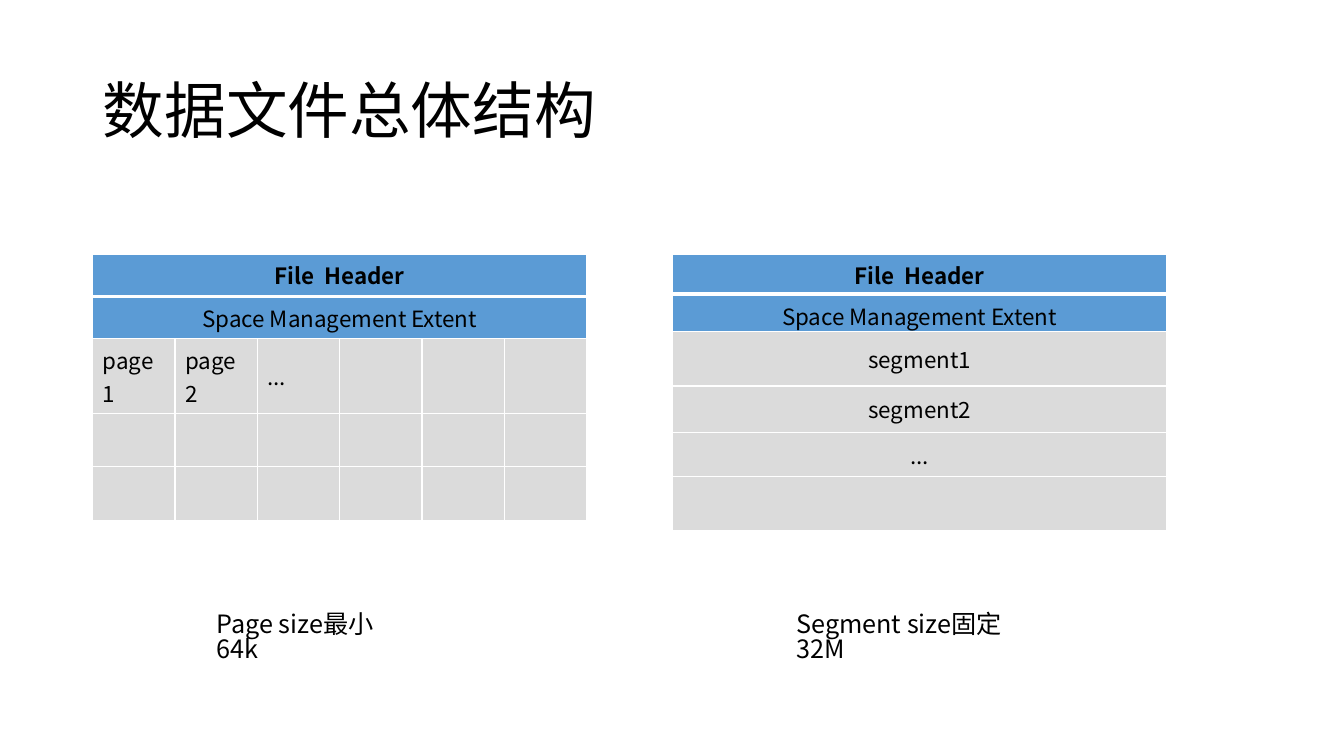
from dataclasses import dataclass

from lxml import etree
from pptx import Presentation
from pptx.dml.color import RGBColor
from pptx.enum.text import MSO_ANCHOR, PP_ALIGN
from pptx.oxml.ns import qn
from pptx.util import Inches, Pt

MIDDLE = MSO_ANCHOR.MIDDLE
CENTER, LEFT = PP_ALIGN.CENTER, PP_ALIGN.LEFT
TITLE_ONLY = 5


@dataclass(frozen=True)
class Theme:
    font: str = "Noto Sans CJK SC"
    background: str = "FFFFFF"
    text: str = "000000"
    header: str = "5B9BD5"
    body: str = "DBDBDB"
    title_size: int = 44
    caption_size: int = 18
    cell_size: int = 16
    grid_width: float = 1
    header_rule: float = 3


@dataclass(frozen=True)
class FileLayout:
    left: float
    columns: int
    body_labels: tuple[tuple[str, ...], ...]
    body_heights: tuple[float, ...]
    body_align: PP_ALIGN
    caption: str
    caption_left: float
    caption_width: float


THEME = Theme()
HEADER_LABELS = ("File  Header", "Space Management Extent")
HEADER_HEIGHTS = (0.4, 0.37)
TABLE_TOP, TABLE_WIDTH = 2.52, 4.9
CAPTION_TOP, CAPTION_HEIGHT = 6.04, 0.4

LAYOUTS = (
    FileLayout(0.92, 6, (("page1", "page2", "..."), (), ()), (0.63, 0.53, 0.53),
               LEFT, "Page size最小64k", 2.05, 2.11),
    FileLayout(6.67, 1, (("segment1",), ("segment2",), ("...",), ()),
               (0.54, 0.46, 0.44, 0.53), CENTER, "Segment size固定32M", 7.8, 2.63),
)


def write(frame, text: str, size: float, align: PP_ALIGN, bold: bool = False,
          spacing: float = 1.0) -> None:
    frame.text = text
    paragraph = frame.paragraphs[0]
    paragraph.alignment = align
    paragraph.line_spacing = spacing
    for run in paragraph.runs:
        run.font.name = THEME.font
        run.font.size = Pt(size)
        run.font.bold = bold
        run.font.color.rgb = RGBColor.from_string(THEME.text)
        east_asian = etree.SubElement(run.font._element, qn("a:ea"))
        east_asian.set("typeface", THEME.font)


def set_borders(cell, top: float, bottom: float) -> None:
    properties = cell._tc.get_or_add_tcPr()
    widths = {"lnL": THEME.grid_width, "lnR": THEME.grid_width, "lnT": top, "lnB": bottom}
    for position, (side, width) in enumerate(widths.items()):
        line = etree.Element(qn(f"a:{side}"), w=str(Pt(width)))
        fill = etree.SubElement(line, qn("a:solidFill"))
        etree.SubElement(fill, qn("a:srgbClr"), val=THEME.background)
        properties.insert(position, line)


def add_file_table(slide, layout: FileLayout) -> None:
    heights = HEADER_HEIGHTS + layout.body_heights
    table = slide.shapes.add_table(
        len(heights), layout.columns, Inches(layout.left), Inches(TABLE_TOP),
        Inches(TABLE_WIDTH), Inches(sum(heights))).table
    table.first_row = table.horz_banding = False
    for column in table.columns:
        column.width = Inches(TABLE_WIDTH / layout.columns)

    # Fills and grid lines, with a heavier rule under the first row
    header_count = len(HEADER_LABELS)
    for row, height in enumerate(heights):
        table.rows[row].height = Inches(height)
        for cell in table.rows[row].cells:
            color = THEME.header if row < header_count else THEME.body
            cell.fill.solid()
            cell.fill.fore_color.rgb = RGBColor.from_string(color)
            cell.vertical_anchor = MIDDLE
            set_borders(cell,
                        THEME.header_rule if row == 1 else THEME.grid_width,
                        THEME.header_rule if row == 0 else THEME.grid_width)

    # Header rows span the whole table
    for row, label in enumerate(HEADER_LABELS):
        header = table.cell(row, 0)
        if layout.columns > 1:
            header.merge(table.cell(row, layout.columns - 1))
        write(header.text_frame, label, THEME.cell_size, CENTER, bold=row == 0)

    # Pages or segments
    for row, labels in enumerate(layout.body_labels, header_count):
        for column, label in enumerate(labels):
            write(table.cell(row, column).text_frame, label, THEME.cell_size,
                  layout.body_align)


def add_caption(slide, layout: FileLayout) -> None:
    frame = slide.shapes.add_textbox(
        Inches(layout.caption_left), Inches(CAPTION_TOP),
        Inches(layout.caption_width), Inches(CAPTION_HEIGHT)).text_frame
    frame.word_wrap = True
    write(frame, layout.caption, THEME.caption_size, LEFT, spacing=0.82)


def main() -> None:
    presentation = Presentation()
    presentation.slide_width, presentation.slide_height = Inches(13.33), Inches(7.5)
    slide = presentation.slides.add_slide(presentation.slide_layouts[TITLE_ONLY])
    slide.background.fill.solid()
    slide.background.fill.fore_color.rgb = RGBColor.from_string(THEME.background)

    # Title
    title = slide.shapes.title
    title.left, title.top = Inches(0.92), Inches(0.4)
    title.width, title.height = Inches(11.5), Inches(1.45)
    title.text_frame.vertical_anchor = MIDDLE
    write(title.text_frame, "数据文件总体结构", THEME.title_size, LEFT, spacing=0.9)

    # File structures with their captions
    for layout in LAYOUTS:
        add_file_table(slide, layout)
        add_caption(slide, layout)

    presentation.save("out.pptx")


if __name__ == "__main__":
    main()
